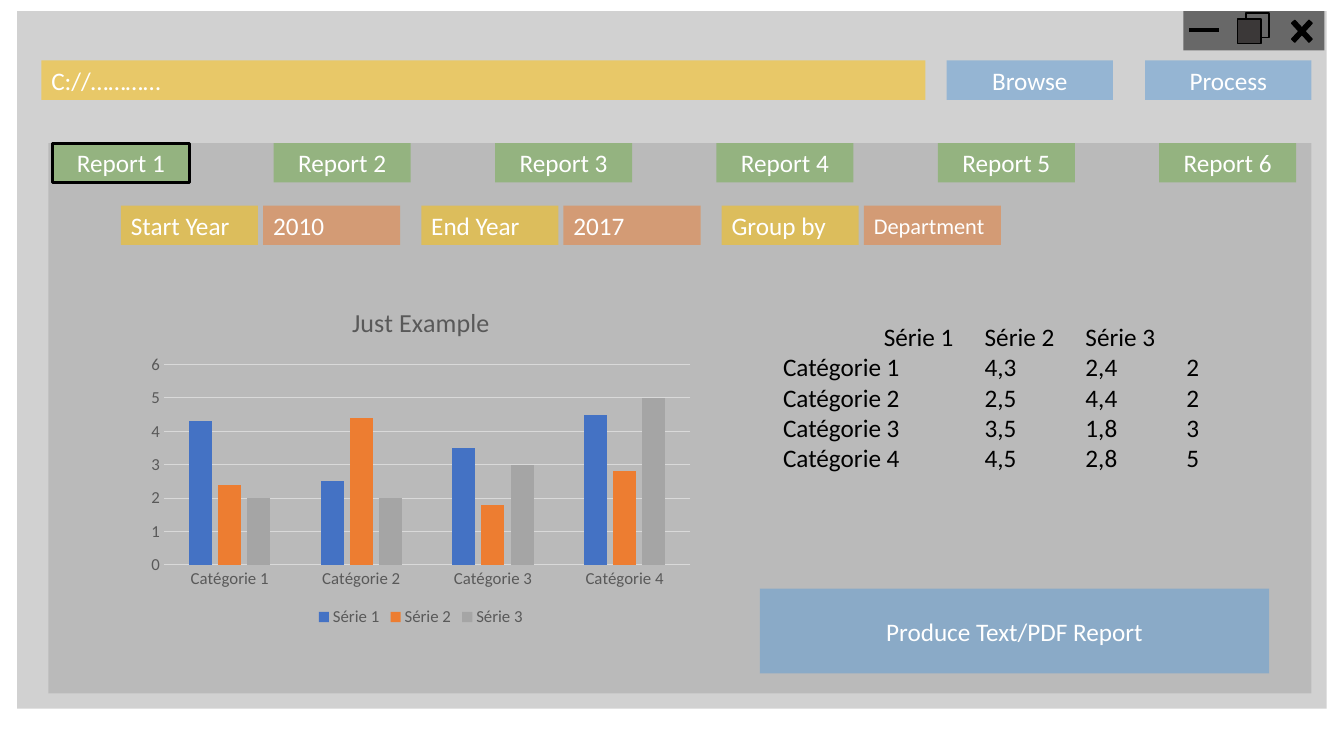
from dataclasses import dataclass

from pptx import Presentation
from pptx.chart.data import CategoryChartData
from pptx.dml.color import RGBColor
from pptx.enum.chart import XL_CHART_TYPE as Chart, XL_LEGEND_POSITION as Legend, XL_TICK_MARK as Tick
from pptx.enum.shapes import MSO_CONNECTOR as Connector, MSO_SHAPE as Shape
from pptx.enum.text import MSO_ANCHOR as Anchor, MSO_AUTO_SIZE as AutoSize, PP_ALIGN as Align
from pptx.oxml.xmlchemy import OxmlElement
from pptx.util import Inches, Pt


@dataclass(frozen=True)
class Theme:
    font: str = "Calibri"
    heading: float = 18.6
    body: float = 18
    small: float = 16
    label: float = 12
    black: str = "000000"
    white: str = "FFFFFF"
    charcoal: str = "3B3838"
    grey: str = "A5A5A5"
    gold: str = "FFC000"
    sky: str = "5B9BD5"
    green: str = "70AD47"
    orange: str = "ED7D31"
    blue: str = "4472C4"
    muted: str = "595959"
    grid: str = "D9D9D9"


class Mockup:
    def __init__(self, deck, theme):
        self.deck = deck
        self.theme = theme
        self.slide = deck.slides.add_slide(deck.slide_layouts[6])

    def place(self, left, top, width, height):
        across, down = self.deck.slide_width / 100, self.deck.slide_height / 100
        return round(left * across), round(top * down), round(width * across), round(height * down)

    def style(self, font, size, color):
        font.name = self.theme.font
        font.size = Pt(size)
        font.color.rgb = RGBColor.from_string(color)

    def stroke(self, line, color, width):
        line.color.rgb = RGBColor.from_string(color)
        line.width = Pt(width)

    def box(self, area, fill=None, alpha=50, outline=None, weight=1, kind=Shape.RECTANGLE, group=None):
        shape = (group or self.slide).shapes.add_shape(kind, *self.place(*area))
        shape.shadow.inherit = False
        if fill:
            shape.fill.solid()
            shape.fill.fore_color.rgb = RGBColor.from_string(fill)
            if alpha < 100:
                opacity = OxmlElement("a:alpha")
                opacity.set("val", str(alpha * 1000))
                shape.fill._xPr.solidFill[0].append(opacity)
        else:
            shape.fill.background()
        if outline:
            self.stroke(shape.line, outline, weight)
        else:
            shape.line.fill.background()
        return shape

    def field(self, area, caption, fill, align=Align.CENTER, size=None, outline=None):
        shape = self.box(area, fill, outline=outline, weight=2.25)
        frame = shape.text_frame
        frame.text = caption
        frame.vertical_anchor = Anchor.MIDDLE
        frame.paragraphs[0].alignment = align
        self.style(frame.paragraphs[0].runs[0].font, size or self.theme.body, self.theme.white)

    def rule(self, left, top, right, weight, group):
        x1, y, x2, _ = self.place(left, top, right, 0)
        line = group.shapes.add_connector(Connector.STRAIGHT, x1, y, x2, y)
        self.stroke(line.line, self.theme.black, weight)
        line._element.spPr.append(OxmlElement("a:effectLst"))

    def listing(self, area, rows, tab_width):
        frame = self.slide.shapes.add_textbox(*self.place(*area)).text_frame
        frame.word_wrap = True
        frame.auto_size = AutoSize.SHAPE_TO_FIT_TEXT
        frame.text = "\n".join(rows)
        tab_size = self.place(tab_width, 0, 0, 0)[0]
        for paragraph in frame.paragraphs:
            self.style(paragraph.runs[0].font, self.theme.body, self.theme.black)
            stops = OxmlElement("a:tabLst")
            for count in range(1, 5):
                stop = OxmlElement("a:tab")
                stop.set("pos", str(tab_size * count))
                stop.set("algn", "l")
                stops.append(stop)
            properties = paragraph._p.get_or_add_pPr()
            properties.set("defTabSz", str(tab_size))
            properties.append(stops)

    def columns(self, area, title, categories, series):
        theme = self.theme
        data = CategoryChartData(number_format="General")
        data.categories = categories
        for name, values, _ in series:
            data.add_series(name, values)
        chart = self.slide.shapes.add_chart(Chart.COLUMN_CLUSTERED, *self.place(*area), data).chart
        self.style(chart.font, theme.label, theme.muted)
        chart.has_title = True
        chart.chart_title.include_in_layout = False
        heading = chart.chart_title.text_frame
        heading.text = title
        self.style(heading.paragraphs[0].runs[0].font, theme.heading, theme.muted)
        heading.paragraphs[0].runs[0].font.bold = False
        chart.has_legend = True
        chart.legend.position = Legend.BOTTOM
        chart.legend.include_in_layout = False
        self.style(chart.legend.font, theme.label, theme.muted)
        for axis in (chart.category_axis, chart.value_axis):
            axis.major_tick_mark = axis.minor_tick_mark = Tick.NONE
            self.style(axis.tick_labels.font, theme.label, theme.muted)
        self.stroke(chart.category_axis.format.line, theme.grid, 0.75)
        chart.value_axis.format.line.fill.background()
        self.stroke(chart.value_axis.major_gridlines.format.line, theme.grid, 0.75)
        plot = chart.plots[0]
        plot.vary_by_categories = False
        plot.gap_width, plot.overlap = 219, -27
        for bars, (_, _, color) in zip(plot.series, series):
            bars.format.fill.solid()
            bars.format.fill.fore_color.rgb = RGBColor.from_string(color)


def main():
    deck = Presentation()
    deck.slide_width, deck.slide_height = Inches(13.333), Inches(7.5)
    theme = Theme()
    mockup = Mockup(deck, theme)
    row, tab = 5.2, 10.2

    mockup.box((1.28, 1.47, 97.43, 92.27), theme.grey)
    mockup.field((3.08, 8, 65.78, row), "C://…………", theme.gold, Align.LEFT)
    for left, action in ((70.43, "Browse"), (85.2, "Process")):
        mockup.field((left, 8, 12.38, row), action, theme.sky)

    mockup.box((3.6, 18.93, 93.98, 72.8), theme.grey)
    for index in range(6):
        selected = theme.black if index == 0 else None
        mockup.field((3.9 + 16.47 * index, 18.93, tab, row), f"Report {index + 1}", theme.green, outline=selected)

    filters = (
        ("Start Year", "2010", theme.body),
        ("End Year", "2017", theme.body),
        ("Group by", "Department", theme.small),
    )
    for index, (caption, choice, size) in enumerate(filters):
        left = 9 + 22.35 * index
        mockup.field((left, 27.2, tab, row), caption, theme.gold, Align.LEFT)
        mockup.field((left + 10.58, 27.2, tab, row), choice, theme.orange, Align.LEFT, size)

    categories = [f"Catégorie {number}" for number in range(1, 5)]
    series = (
        ("Série 1", (4.3, 2.5, 3.5, 4.5), theme.blue),
        ("Série 2", (2.4, 4.4, 1.8, 2.8), theme.orange),
        ("Série 3", (2, 2, 3, 5), theme.grey),
    )
    mockup.columns((10.43, 38, 41.78, 45.47), "Just Example", categories, series)

    rows = [(" ", *(name for name, _, _ in series))]
    for category, *values in zip(categories, *(values for _, values, _ in series)):
        rows.append((category, *(str(value).replace(".", ",") for value in values)))
    mockup.listing((57.53, 41.87, 36.75, 37.73), ["\t".join(cells) + "\t" for cells in rows], 7.5)

    controls = mockup.slide.shapes.add_group_shape()
    mockup.box((88.05, 1.47, 10.5, row), theme.black, group=controls)
    mockup.rule(88.5, 4, 90.68, 3, controls)
    mockup.box((92.7, 1.73, 1.73, 3.2), outline=theme.black, group=controls)
    mockup.box((92.1, 2.53, 1.73, 3.2), theme.charcoal, 100, theme.black, group=controls)
    close = mockup.box((95.63, 1.73, 2.48, 4.8), theme.black, 100, theme.black,
                       kind=Shape.MATH_MULTIPLY, group=controls)
    close.adjustments[0] = 0.13

    mockup.field((56.55, 77.87, 37.88, 11.2), "Produce Text/PDF Report", theme.sky)
    deck.save("out.pptx")


if __name__ == "__main__":
    main()
